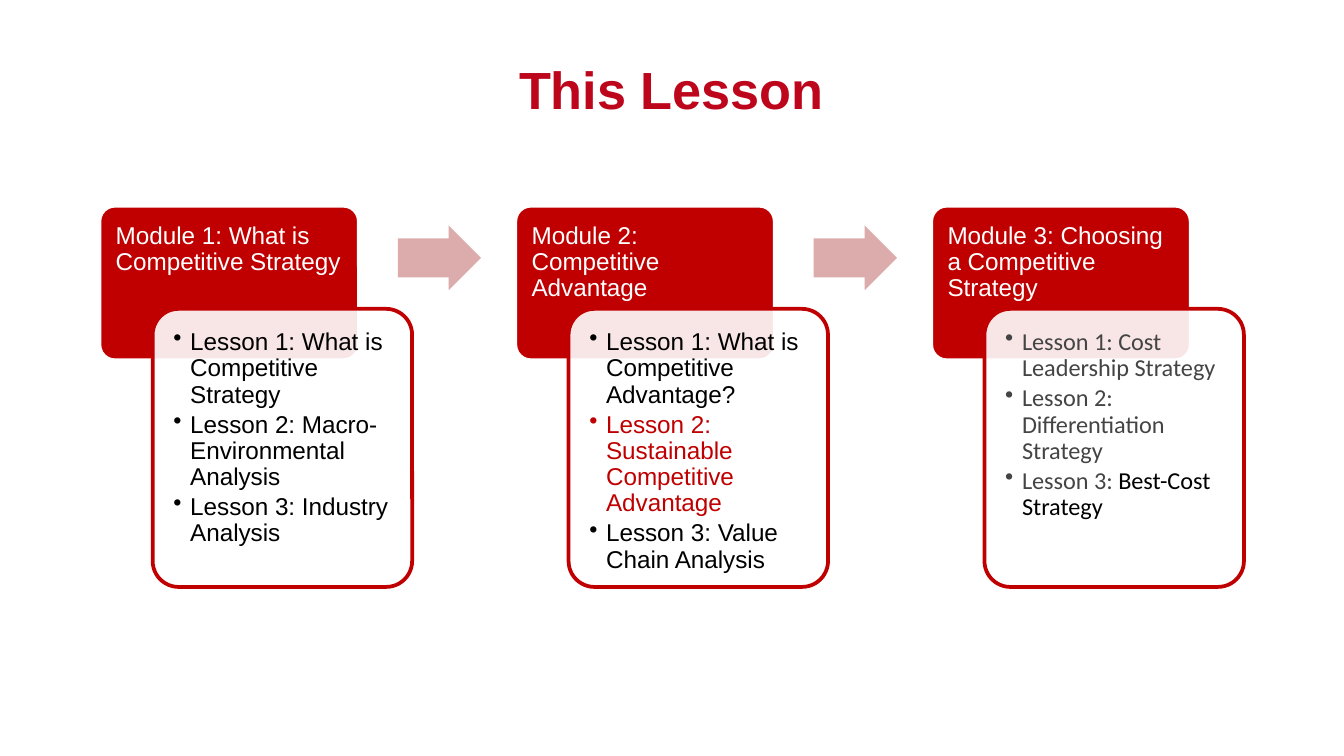
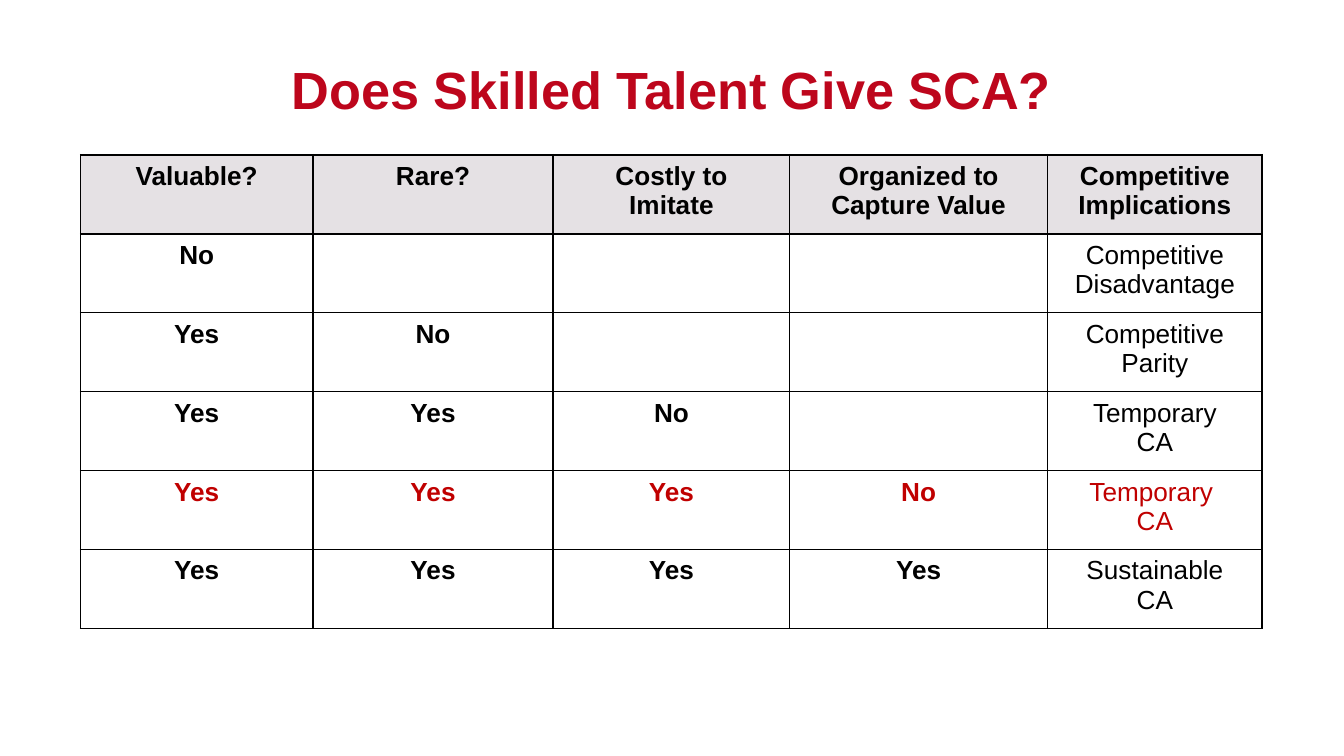
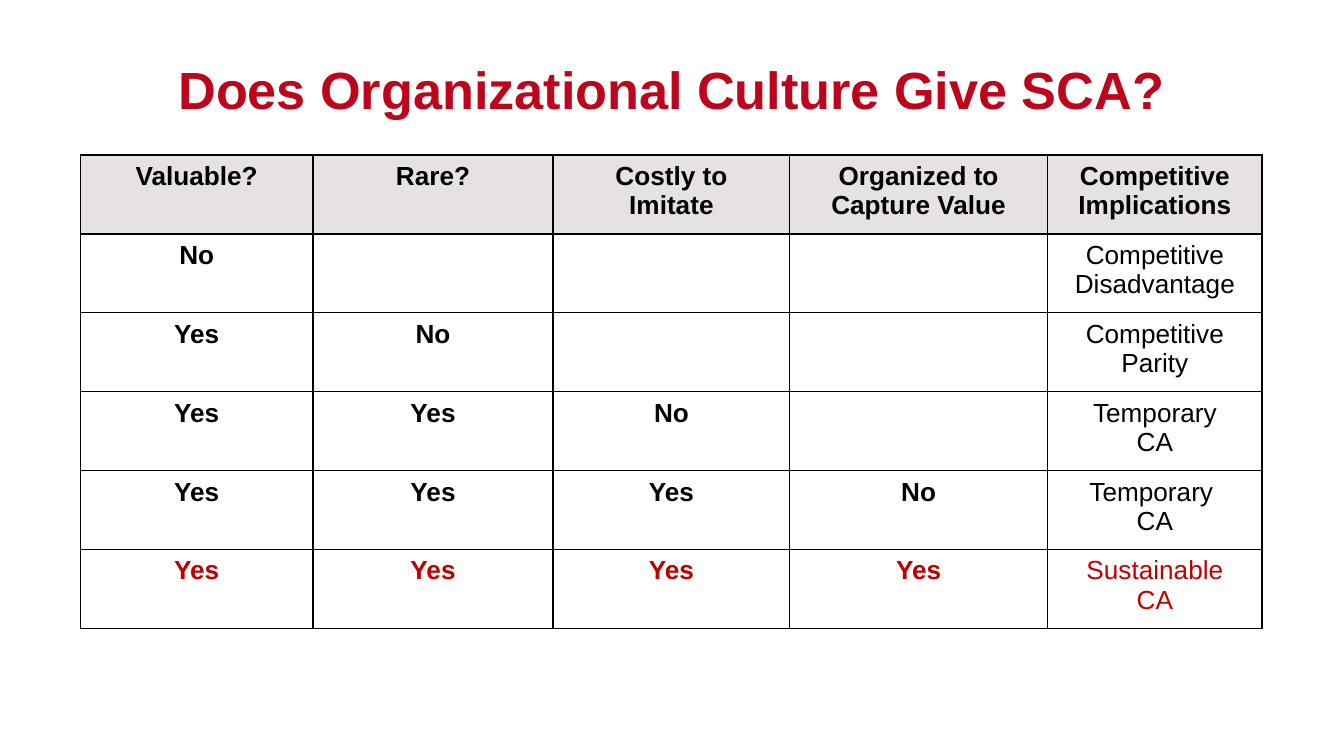
from lxml.etree import SubElement
from pptx import Presentation
from pptx.dml.color import RGBColor
from pptx.enum.shapes import MSO_SHAPE as Preset
from pptx.enum.text import MSO_ANCHOR as Anchor, PP_ALIGN as Align
from pptx.oxml.ns import qn
from pptx.util import Pt

COLORS = {
    "title": "BD061C",
    "accent": "C00000",
    "arrow": "DCABAB",
    "header": "E5E1E4",
    "text": "000000",
    "muted": "444444",
    "white": "FFFFFF",
}
FONT = "Arial"
TITLE_BOX = (43.2, 6.5, 632.9, 61.2)

FIRST_LEFT, MODULE_STEP = 53.3, 222.8
MODULES = [
    ("Module 1: What is Competitive Strategy", FONT, [
        [("Lesson 1: What is Competitive Strategy", "text")],
        [("Lesson 2: Macro-Environmental Analysis", "text")],
        [("Lesson 3: Industry Analysis", "text")],
    ]),
    ("Module 2: Competitive Advantage", FONT, [
        [("Lesson 1: What is Competitive Advantage?", "text")],
        [("Lesson 2: Sustainable Competitive Advantage", "accent")],
        [("Lesson 3: Value Chain Analysis", "text")],
    ]),
    ("Module 3: Choosing a Competitive Strategy ", "Calibri", [
        [("Lesson 1: Cost Leadership Strategy", "muted")],
        [("Lesson 2: Differentiation Strategy", "muted")],
        [("Lesson 3:", "muted"), (" Best-Cost Strategy", "text")],
    ]),
]

COLUMN_WIDTHS = [124.4, 128.8, 126.7, 138.2, 115]
ROW_HEIGHT = 42.3
CRITERIA_ROWS = [
    ["Valuable?", "Rare?", "Costly to Imitate", "Organized to Capture Value",
     "Competitive Implications"],
    ["No", "", "", "", "Competitive\nDisadvantage"],
    ["Yes", "No", "", "", "Competitive Parity"],
    ["Yes", "Yes", "No", "", "Temporary\nCA"],
    ["Yes", "Yes", "Yes", "No", "Temporary \nCA"],
    ["Yes", "Yes", "Yes", "Yes", "Sustainable\nCA"],
]


def rgb(name):
    return RGBColor.from_string(COLORS[name])


def points(*lengths):
    return [Pt(length) for length in lengths]


def add_text(paragraph, text, size=13, color="text", bold=False, font=FONT):
    run = paragraph.add_run()
    run.text = text
    run.font.name = font
    run.font.size = Pt(size)
    run.font.bold = bold
    run.font.color.rgb = rgb(color)


def add_titled_slide(presentation, title):
    slide = presentation.slides.add_slide(presentation.slide_layouts[5])
    shape = slide.shapes.title
    shape.left, shape.top, shape.width, shape.height = points(*TITLE_BOX)
    shape.text_frame.vertical_anchor = Anchor.BOTTOM
    paragraph = shape.text_frame.paragraphs[0]
    paragraph.alignment = Align.CENTER
    add_text(paragraph, title, size=28, color="title", bold=True)
    return slide


def add_panel(slide, preset, box, adjustments, fill, line=None, opacity=None):
    shape = slide.shapes.add_shape(preset, *points(*box))
    shape.shadow.inherit = False
    for index, value in enumerate(adjustments):
        shape.adjustments[index] = value
    shape.fill.solid()
    shape.fill.fore_color.rgb = rgb(fill)
    if opacity:
        color = shape.fill._xPr.find(qn("a:solidFill"))[0]
        SubElement(color, qn("a:alpha"), val=str(opacity * 1000))
    if line:
        shape.line.color.rgb = rgb(line)
        shape.line.width = Pt(2)
    else:
        shape.line.fill.background()


def add_text_frame(slide, box, bottom_margin):
    frame = slide.shapes.add_textbox(*points(*box)).text_frame
    frame.word_wrap = True
    frame.margin_left = frame.margin_top = frame.margin_right = Pt(7.2)
    frame.margin_bottom = Pt(bottom_margin)
    return frame


def set_bullet(paragraph):
    properties = paragraph._p.get_or_add_pPr()
    properties.set("marL", str(Pt(9)))
    properties.set("indent", str(Pt(-9)))
    SubElement(properties, qn("a:buChar"), char="•")


def add_module(slide, left, heading, font, lessons):
    add_panel(slide, Preset.ROUNDED_RECTANGLE, (left, 110.2, 139, 82.8), [0.1],
              "accent", line="white")
    frame = add_text_frame(slide, (left + 1.6, 112.3, 135.4, 51.8), 3.6)
    paragraph = frame.paragraphs[0]
    paragraph.line_spacing = 0.9
    add_text(paragraph, heading, color="white")

    add_panel(slide, Preset.ROUNDED_RECTANGLE, (left + 28.5, 165.5, 139, 149), [0.1],
              "white", line="accent", opacity=90)
    frame = add_text_frame(slide, (left + 32.5, 169.4, 130.3, 141.1), 7.2)
    for index, runs in enumerate(lessons):
        paragraph = frame.add_paragraph() if index else frame.paragraphs[0]
        paragraph.level = 1
        paragraph.line_spacing = 0.9
        paragraph.space_after = Pt(2)
        set_bullet(paragraph)
        for text, color in runs:
            add_text(paragraph, text, color=color, font=font)


def add_modules(slide):
    for index, module in enumerate(MODULES):
        left = FIRST_LEFT + index * MODULE_STEP
        if index:
            add_panel(slide, Preset.RIGHT_ARROW, (left - 63, 120.8, 44.6, 34.7),
                      [0.6, 0.5], "arrow")
        add_module(slide, left, *module)


def set_borders(cell):
    properties = cell._tc.get_or_add_tcPr()
    for index, side in enumerate(("lnL", "lnR", "lnT", "lnB")):
        line = properties.makeelement(qn(f"a:{side}"), {"w": str(Pt(0.96))})
        fill = SubElement(line, qn("a:solidFill"))
        SubElement(fill, qn("a:srgbClr"), val=COLORS["text"])
        properties.insert(index, line)


def fill_cell(cell, text, fill, color, bold):
    cell.fill.solid()
    cell.fill.fore_color.rgb = rgb(fill)
    cell.margin_left = cell.margin_right = Pt(10.8)
    cell.margin_top = cell.margin_bottom = Pt(3.6)
    set_borders(cell)
    if not text:
        return
    for index, line in enumerate(text.split("\n")):
        frame = cell.text_frame
        paragraph = frame.add_paragraph() if index else frame.paragraphs[0]
        paragraph.alignment = Align.CENTER
        add_text(paragraph, line, size=14, color=color, bold=bold)


def add_criteria_table(slide, highlighted_row):
    row_count, column_count = len(CRITERIA_ROWS), len(COLUMN_WIDTHS)
    box = points(43.2, 82.9, sum(COLUMN_WIDTHS), ROW_HEIGHT * row_count)
    table = slide.shapes.add_table(row_count, column_count, *box).table
    table.horz_banding = False
    for column, width in zip(table.columns, COLUMN_WIDTHS):
        column.width = Pt(width)
    for row_index, texts in enumerate(CRITERIA_ROWS):
        table.rows[row_index].height = Pt(ROW_HEIGHT)
        is_header = row_index == 0
        fill = "header" if is_header else "white"
        color = "accent" if row_index == highlighted_row else "text"
        for column_index, text in enumerate(texts):
            bold = is_header or column_index < column_count - 1
            fill_cell(table.cell(row_index, column_index), text, fill, color, bold)


def main():
    presentation = Presentation()
    presentation.slide_width, presentation.slide_height = points(720, 405)
    add_modules(add_titled_slide(presentation, "This Lesson"))
    for title, highlighted_row in [
        ("Does Skilled Talent Give SCA?", 4),
        ("Does Organizational Culture Give SCA?", 5),
    ]:
        add_criteria_table(add_titled_slide(presentation, title), highlighted_row)
    presentation.save("out.pptx")


if __name__ == "__main__":
    main()
